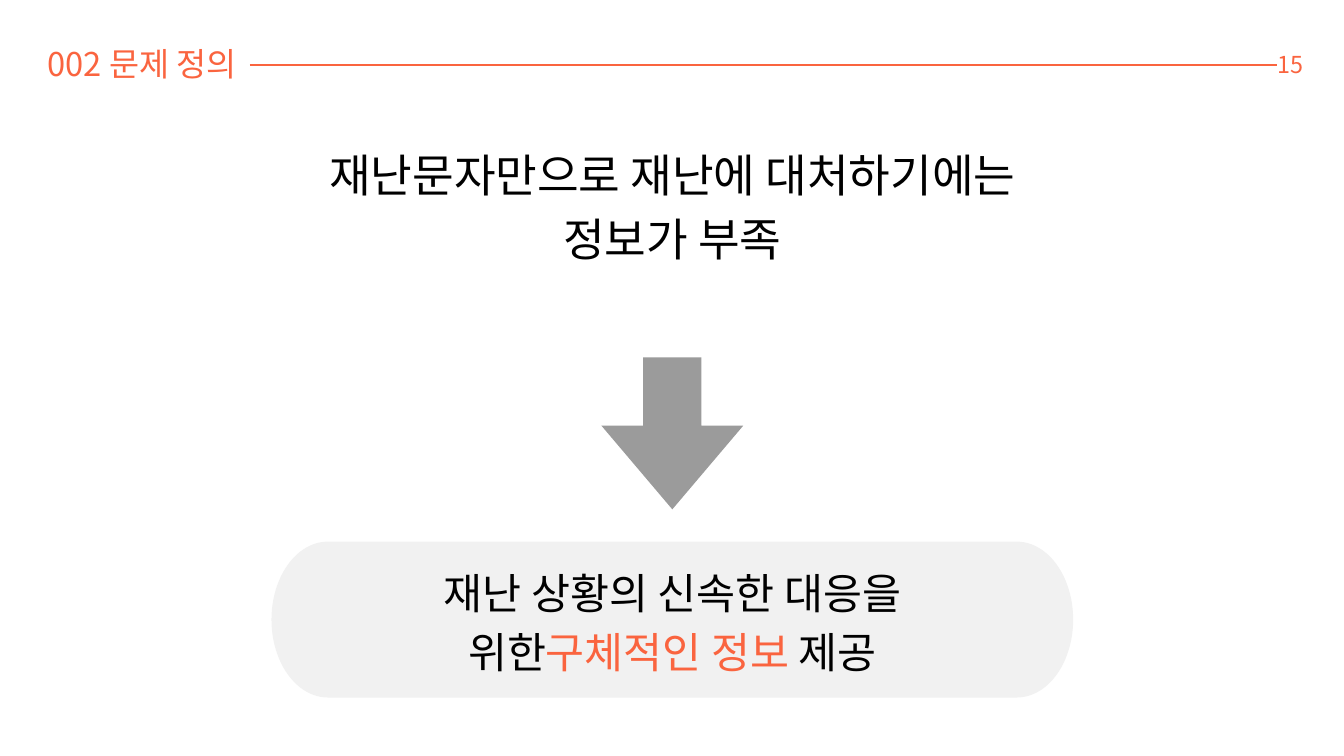
from math import cos, pi, sin

from lxml.etree import SubElement
from pptx import Presentation
from pptx.dml.color import RGBColor
from pptx.enum.shapes import MSO_CONNECTOR, MSO_SHAPE
from pptx.enum.text import MSO_ANCHOR, MSO_AUTO_SIZE, PP_ALIGN
from pptx.oxml.ns import qn
from pptx.util import Inches, Pt

COLORS = {"accent": "FA643F", "arrow": "9B9B9B", "panel": "F1F1F1", "text": "000000"}
SANS = "Noto Sans CJK KR"
BODY = "Calibri"


def color(name):
    return RGBColor.from_string(COLORS[name])


def prepare_frame(holder):
    frame = holder.text_frame
    frame.margin_left = frame.margin_top = frame.margin_right = frame.margin_bottom = 0
    frame.word_wrap = True
    frame.auto_size = MSO_AUTO_SIZE.NONE
    frame.vertical_anchor = MSO_ANCHOR.TOP
    return frame


def format_paragraph(paragraph, size, spacing, align, hue=None, font=None):
    paragraph.alignment = align
    paragraph.line_spacing = Pt(spacing)
    paragraph.space_before = Pt(0)
    paragraph.font.size = Pt(size)
    if hue:
        paragraph.font.color.rgb = color(hue)
    if font:
        paragraph.font.name = font


def add_text_box(slide, left, top, width, height):
    box = slide.shapes.add_textbox(Inches(left), Inches(top), Inches(width), Inches(height))
    return prepare_frame(box)


def add_label(slide, text, left, top, width, height, size):
    paragraph = add_text_box(slide, left, top, width, height).paragraphs[0]
    paragraph.text = text
    format_paragraph(paragraph, size, size * 1.1, PP_ALIGN.LEFT, "accent", SANS)


def add_rule(slide, start, end, y):
    rule = slide.shapes.add_connector(
        MSO_CONNECTOR.STRAIGHT, Inches(start), Inches(y), Inches(end), Inches(y)
    )
    rule.line.color.rgb = color("accent")
    rule.line.width = Pt(2.25)
    SubElement(rule.element.spPr, qn("a:effectLst"))


def paint(shape, hue):
    shape.shadow.inherit = False
    shape.fill.solid()
    shape.fill.fore_color.rgb = color(hue)
    shape.line.fill.background()


def add_down_arrow(slide, left, top, width, height):
    arrow = slide.shapes.add_shape(
        MSO_SHAPE.DOWN_ARROW, Inches(left), Inches(top), Inches(width), Inches(height)
    )
    arrow.adjustments[0] = 0.41
    arrow.adjustments[1] = 0.59
    paint(arrow, "arrow")


def add_panel(slide, left, top, width, height, end_width, steps=48):
    radius_y = height / 2
    points = []
    for center, start in ((left + width - end_width, -pi / 2), (left + end_width, pi / 2)):
        for step in range(steps + 1):
            angle = start + pi * step / steps
            x = center + end_width * cos(angle)
            y = top + radius_y + radius_y * sin(angle)
            points.append((Inches(x), Inches(y)))
    builder = slide.shapes.build_freeform(*points[0])
    builder.add_line_segments(points[1:], close=True)
    paint(builder.convert_to_shape(), "panel")


def add_headline(slide, lines):
    title = slide.shapes.title
    title.left, title.top = Inches(3.48), Inches(2.06)
    title.width, title.height = Inches(13.05), Inches(1.84)
    frame = prepare_frame(title)
    frame.text = "\n".join(lines)
    for paragraph in frame.paragraphs:
        format_paragraph(paragraph, 48.5, 68, PP_ALIGN.CENTER, "text", BODY)


def add_conclusion(slide):
    paragraph = add_text_box(slide, 5.66, 8.31, 8.69, 1.73).paragraphs[0]
    pieces = (
        ("재난 상황의 신속한 대응을", "text", BODY),
        ("위한", "text", BODY),
        ("구체적인 정보", "accent", BODY),
        (" 제공", "text", SANS),
    )
    for index, (text, hue, font) in enumerate(pieces):
        if index == 1:
            paragraph.add_line_break()
        run = paragraph.add_run()
        run.text = text
        run.font.size = Pt(45.4)
        run.font.name = font
        run.font.color.rgb = color(hue)
    format_paragraph(paragraph, 45.4, 63.6, PP_ALIGN.CENTER)


def main():
    presentation = Presentation()
    presentation.slide_width = Inches(20)
    presentation.slide_height = Inches(11.25)
    slide = presentation.slides.add_slide(presentation.slide_layouts[5])

    add_rule(slide, 3.72, 19.01, 0.97)
    add_down_arrow(slide, 8.95, 5.32, 2.11, 2.26)
    add_panel(slide, 4.04, 8.06, 11.93, 2.32, 0.84)
    add_label(slide, "002 문제 정의", 0.71, 0.7, 3.25, 0.55, 35)
    add_label(slide, "15", 19.01, 0.78, 0.62, 0.4, 25)
    add_headline(slide, ("재난문자만으로 재난에 대처하기에는", "정보가 부족"))
    add_conclusion(slide)

    presentation.save("out.pptx")


if __name__ == "__main__":
    main()
